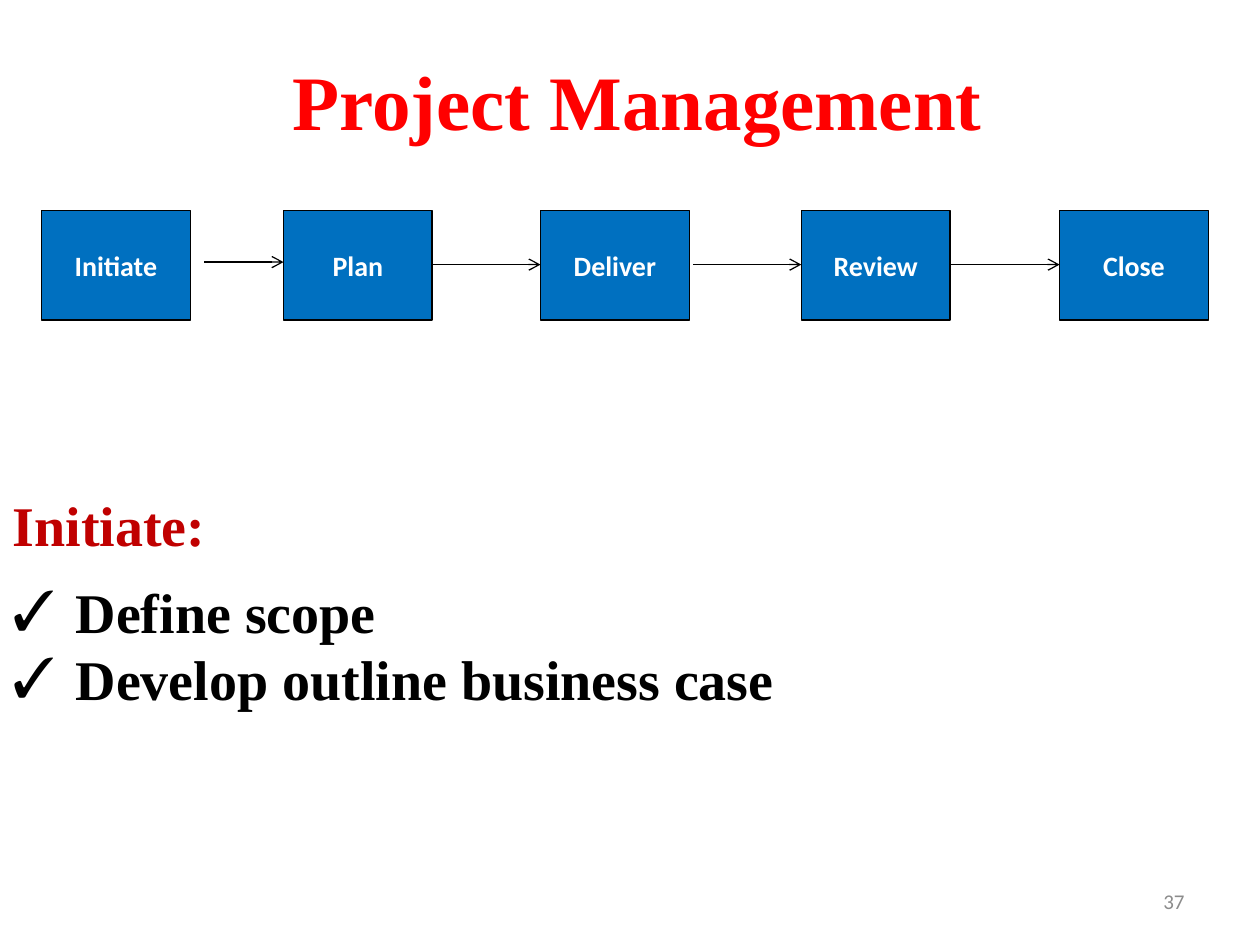
from lxml import etree
from pptx import Presentation
from pptx.dml.color import RGBColor
from pptx.enum.shapes import MSO_CONNECTOR, MSO_SHAPE
from pptx.enum.text import MSO_ANCHOR, MSO_AUTO_SIZE, PP_ALIGN
from pptx.oxml.ns import qn
from pptx.util import Inches, Pt

COLORS = {"title": "FF0000", "heading": "C00000", "text": "000000", "box": "0070C0",
          "line": "000000", "label": "FFFFFF", "number": "8C8C8C"}
SERIF, SANS = "Times New Roman", "Calibri"
BOX_W, BOX_H, BOX_TOP = 1.18, 0.87, 1.67
STEPS = [("Initiate", 0.33), ("Plan", 2.25), ("Deliver", 4.29),
         ("Review", 6.36), ("Close", 8.41)]
# Start x, end x and height of each arrow
ARROWS = [(1.62, 2.25, 2.08), (3.43, 4.29, 2.1), (5.5, 6.36, 2.1), (7.54, 8.41, 2.1)]


def rgb(name):
    return RGBColor.from_string(COLORS[name])


def place(sp, left, top, width, height):
    sp.left, sp.top = Inches(left), Inches(top)
    sp.width, sp.height = Inches(width), Inches(height)


def set_bullet(p, char, indent):
    pPr = p._p.get_or_add_pPr()
    pPr.set("marL", str(Inches(indent)))
    pPr.set("indent", str(-Inches(indent)))
    etree.SubElement(pPr, qn("a:buFont")).set("typeface", SERIF)
    etree.SubElement(pPr, qn("a:buChar")).set("char", char)


def remove_bullet(p):
    pPr = p._p.get_or_add_pPr()
    pPr.set("marL", "0")
    pPr.set("indent", "0")
    etree.SubElement(pPr, qn("a:buNone"))


def write(p, text, size, color, font=SANS, bold=False, align=PP_ALIGN.LEFT, before=0):
    p.alignment = align
    p.space_before = Pt(before)
    r = p.add_run()
    r.text = text
    r.font.size, r.font.name, r.font.bold = Pt(size), font, bold
    r.font.color.rgb = rgb(color)


def add_title(s, text):
    sp = s.shapes.title
    place(sp, 0.06, 0.33, 10, 0.92)
    tf = sp.text_frame
    tf.auto_size = MSO_AUTO_SIZE.NONE
    tf.vertical_anchor = MSO_ANCHOR.MIDDLE
    write(tf.paragraphs[0], text, 44, "title", font=SERIF, bold=True,
          align=PP_ALIGN.CENTER)


def add_step(s, text, left):
    sp = s.shapes.add_shape(MSO_SHAPE.RECTANGLE, Inches(left), Inches(BOX_TOP),
                            Inches(BOX_W), Inches(BOX_H))
    sp.shadow.inherit = False
    sp.fill.solid()
    sp.fill.fore_color.rgb = rgb("box")
    sp.line.color.rgb = rgb("line")
    sp.line.width = Pt(0.75)
    sp.text_frame.vertical_anchor = MSO_ANCHOR.MIDDLE
    write(sp.text_frame.paragraphs[0], text, 16, "label", bold=True,
          align=PP_ALIGN.CENTER)


def add_arrow(s, start, end, y):
    c = s.shapes.add_connector(MSO_CONNECTOR.STRAIGHT, Inches(start), Inches(y),
                               Inches(end), Inches(y))
    c.line.color.rgb = rgb("line")
    c.line.width = Pt(0.75)
    etree.SubElement(c.line._get_or_add_ln(), qn("a:tailEnd")).set("type", "arrow")
    etree.SubElement(c._element.spPr, qn("a:effectLst"))


def add_body(s, heading, items):
    sp = s.placeholders[1]
    place(sp, 0, 3.84, 10, 1.88)
    tf = sp.text_frame
    tf.auto_size = MSO_AUTO_SIZE.NONE
    p = tf.paragraphs[0]
    remove_bullet(p)
    write(p, heading, 32, "heading", font=SERIF, bold=True)
    for i, item in enumerate(items):
        p = tf.add_paragraph()
        set_bullet(p, "✓", 0.5)
        write(p, item, 32, "text", font=SERIF, bold=True, before=0 if i else 11.5)


def add_number(s, text):
    sp = s.shapes.add_textbox(Inches(7.17), Inches(6.95), Inches(2.33), Inches(0.4))
    tf = sp.text_frame
    tf.word_wrap = True
    tf.vertical_anchor = MSO_ANCHOR.MIDDLE
    write(tf.paragraphs[0], text, 12, "number", align=PP_ALIGN.RIGHT)


def main():
    prs = Presentation()
    prs.slide_width, prs.slide_height = Inches(10), Inches(7.5)
    s = prs.slides.add_slide(prs.slide_layouts[1])
    add_title(s, "Project Management")
    # Process flow
    for text, left in STEPS:
        add_step(s, text, left)
    for start, end, y in ARROWS:
        add_arrow(s, start, end, y)
    # Details of the first step
    add_body(s, "Initiate:", ["Define scope", "Develop outline business case"])
    add_number(s, "37")
    prs.save("out.pptx")


if __name__ == "__main__":
    main()
